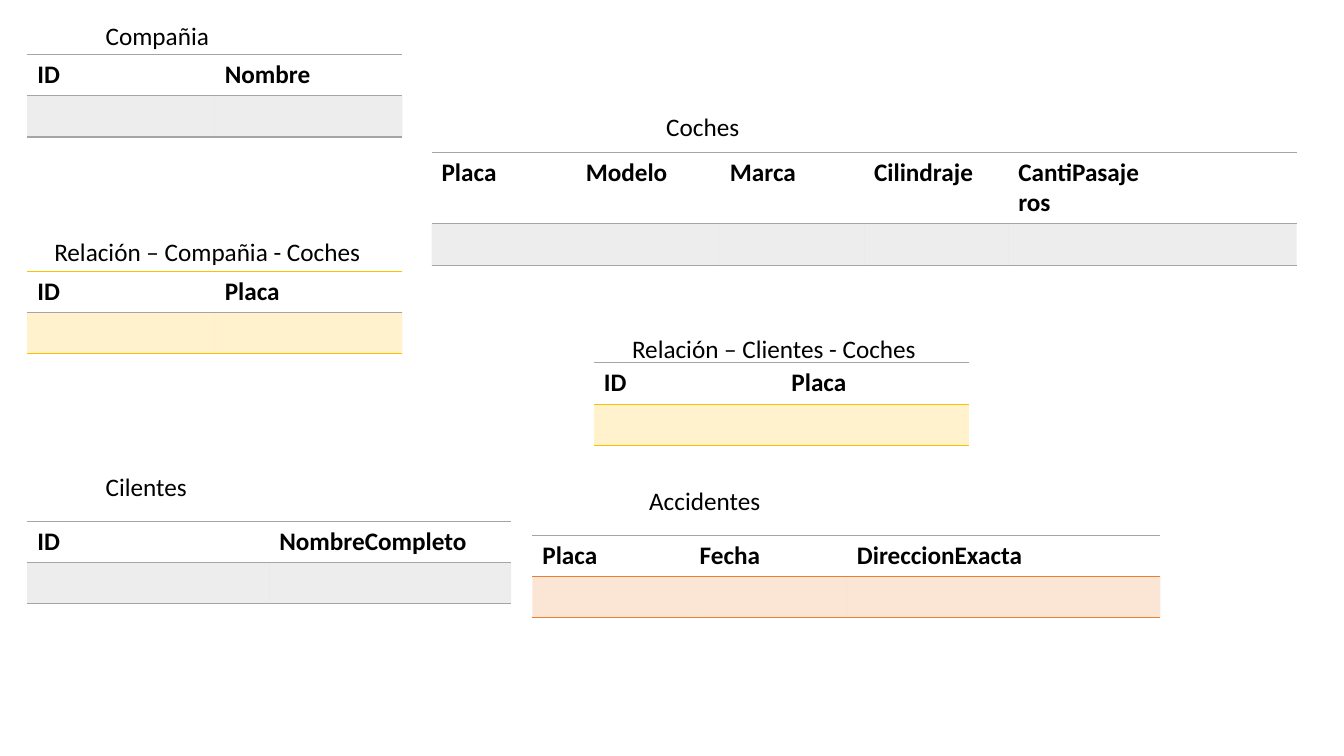
import pptx
import pptx.dml.color
import pptx.enum.text
import pptx.oxml
import pptx.oxml.ns
import pptx.util

Inches = pptx.util.Inches

THEME = {
    "font": "Calibri", "size": 18, "text": "000000",
    "gray": "A5A5A5", "gold": "FFC000", "orange": "ED7D31",
    "tint_alpha": 20, "border": 1,
    "plain_style": "{2D5ABB26-0587-4C30-8999-92F81FD0307C}",
}
ROW_HEIGHT = 0.41
TITLE_HEIGHT = 0.4

# Content: title box (left, top, width), table (left, top),
# rule colours (top, middle, bottom), columns (name, width)
ENTITIES = [
    {"title": "Compañia", "title_at": (0.95, 0.15, 1.24), "at": (0.27, 0.54),
     "fill": "gray", "rules": ("gray", "gray", "gray"),
     "columns": [("ID", 1.86), ("Nombre", 1.86)]},
    {"title": "Cilentes", "title_at": (0.95, 4.63, 1.02), "at": (0.27, 5.17),
     "fill": "gray", "rules": ("gray", "gray", "gray"),
     "columns": [("ID", 2.4), ("NombreCompleto", 2.4)]},
    {"title": "Coches", "title_at": (6.51, 1.06, 0.93), "at": (4.28, 1.51),
     "fill": "gray", "rules": ("gray", "gray", "gray"), "header_height": 0.71,
     "columns": [("Placa", 1.43), ("Modelo", 1.43), ("Marca", 1.43),
                 ("Cilindraje", 1.43), ("CantiPasajeros", 1.43), ("", 1.43)]},
    {"title": "Accidentes", "title_at": (6.34, 4.77, 1.32), "at": (5.28, 5.31),
     "fill": "orange", "rules": ("gray", "orange", "orange"),
     "columns": [("Placa", 1.56), ("Fecha", 1.56), ("DireccionExacta", 3.11)]},
    {"title": "Relación – Compañia - Coches", "title_at": (0.44, 2.3, 3.27),
     "at": (0.27, 2.69), "fill": "gold", "rules": ("gold", "gray", "gold"),
     "columns": [("ID", 1.86), ("Placa", 1.86)]},
    {"title": "Relación – Clientes - Coches", "title_at": (6.17, 3.26, 3.05),
     "at": (5.89, 3.6), "fill": "gold", "rules": ("gray", "gold", "gold"),
     "columns": [("ID", 1.86), ("Placa", 1.86)]},
]


def write_text(text_frame, text, bold=False, size=THEME["size"], color=THEME["text"]):
    run = text_frame.paragraphs[0].add_run()
    run.text = text
    run.font.name = THEME["font"]
    run.font.size = pptx.util.Pt(size)
    run.font.bold = bold
    run.font.color.rgb = pptx.dml.color.RGBColor.from_string(color)


def tint_cell(cell, color):
    cell.fill.solid()
    cell.fill.fore_color.rgb = pptx.dml.color.RGBColor.from_string(color)
    color_element = cell._tc.tcPr.find(".//" + pptx.oxml.ns.qn("a:srgbClr"))
    alpha = color_element.makeelement(pptx.oxml.ns.qn("a:alpha"),
                                      {"val": str(THEME["tint_alpha"] * 1000)})
    color_element.append(alpha)


def rule_cell(cell, top, bottom):
    properties = cell._tc.get_or_add_tcPr()
    width = pptx.util.Pt(THEME["border"])
    edges = (("lnL", None), ("lnR", None), ("lnT", top), ("lnB", bottom))
    for position, (edge, color) in enumerate(edges):
        paint = (f'<a:solidFill><a:srgbClr val="{color}"/></a:solidFill>'
                 if color else "<a:noFill/>")
        properties.insert(position, pptx.oxml.parse_xml(
            f'<a:{edge} {pptx.oxml.ns.nsdecls("a")} w="{width}">{paint}</a:{edge}>'))


def add_entity_table(slide, entity):
    columns = entity["columns"]
    heights = (entity.get("header_height", ROW_HEIGHT), ROW_HEIGHT)
    left, top = entity["at"]
    table = slide.shapes.add_table(
        2, len(columns), Inches(left), Inches(top),
        Inches(sum(width for _, width in columns)), Inches(sum(heights))).table
    table._tbl.tblPr.find(pptx.oxml.ns.qn("a:tableStyleId")).text = THEME["plain_style"]
    table.horz_banding = False
    for row, height in zip(table.rows, heights):
        row.height = Inches(height)
    rules = [THEME[name] for name in entity["rules"]]
    for index, (name, width) in enumerate(columns):
        table.columns[index].width = Inches(width)
        header, body = table.cell(0, index), table.cell(1, index)
        if name:
            write_text(header.text_frame, name, bold=True)
        header.fill.background()
        tint_cell(body, THEME[entity["fill"]])
        rule_cell(header, rules[0], rules[1])
        rule_cell(body, rules[1], rules[2])


def add_entity_title(slide, entity):
    left, top, width = entity["title_at"]
    box = slide.shapes.add_textbox(Inches(left), Inches(top),
                                   Inches(width), Inches(TITLE_HEIGHT))
    box.text_frame.word_wrap = False
    box.text_frame.auto_size = pptx.enum.text.MSO_AUTO_SIZE.SHAPE_TO_FIT_TEXT
    write_text(box.text_frame, entity["title"])


def main():
    presentation = pptx.Presentation()
    presentation.slide_width = Inches(13.33)
    presentation.slide_height = Inches(7.5)
    slide = presentation.slides.add_slide(presentation.slide_layouts[6])

    # Tables first, titles in front
    for entity in ENTITIES:
        add_entity_table(slide, entity)
    for entity in ENTITIES:
        add_entity_title(slide, entity)

    presentation.save("out.pptx")


if __name__ == "__main__":
    main()
